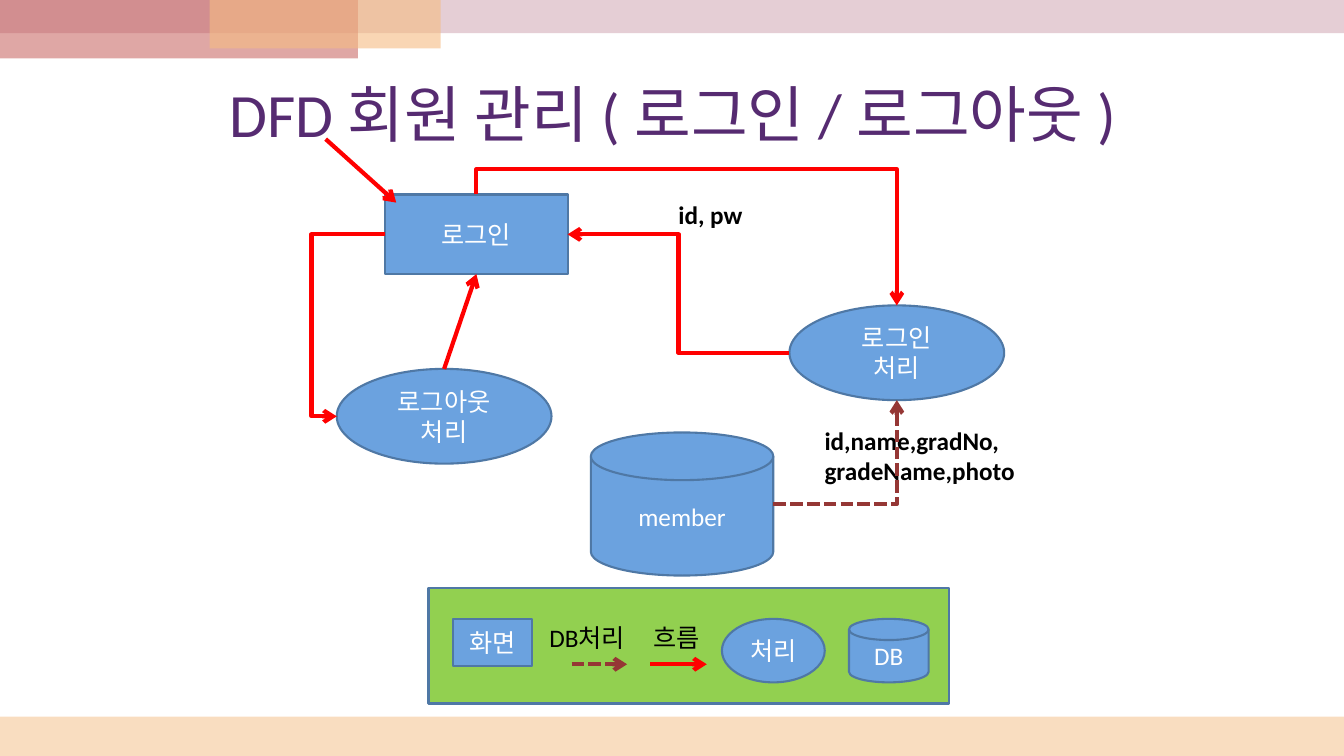
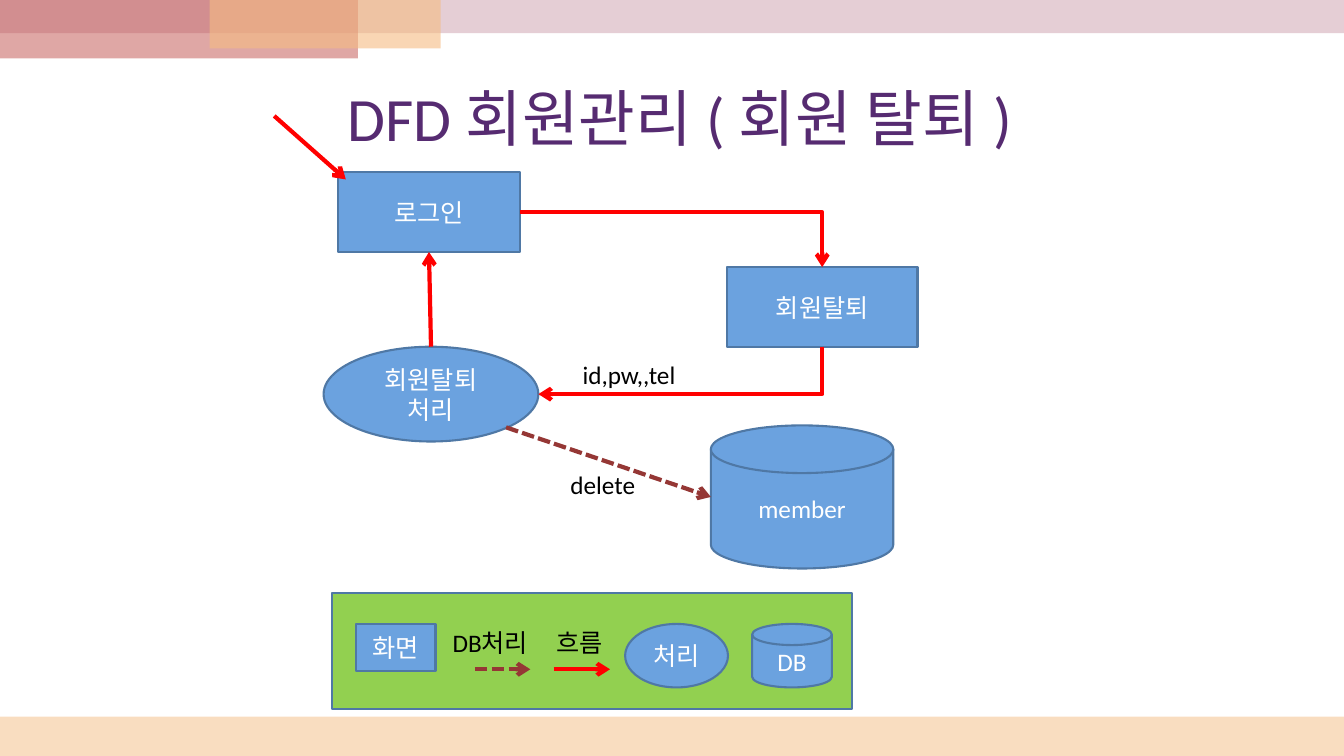
from math import cos, radians, sin

from lxml.etree import SubElement
from pptx import Presentation
from pptx.dml.color import RGBColor
from pptx.enum.dml import MSO_LINE
from pptx.enum.shapes import MSO_CONNECTOR, MSO_SHAPE
from pptx.enum.text import MSO_ANCHOR, MSO_AUTO_SIZE, PP_ALIGN
from pptx.oxml.ns import qn
from pptx.util import Inches, Pt

WHITE = RGBColor(0xFF, 0xFF, 0xFF)
BLACK = RGBColor(0, 0, 0)
BLUE = RGBColor(0x6B, 0xA2, 0xDF)
EDGE = RGBColor(0x4F, 0x78, 0xA5)
GREEN = RGBColor(0x92, 0xD0, 0x50)
RED = RGBColor(0xFF, 0, 0)
BROWN = RGBColor(0x95, 0x37, 0x35)
PLUM = RGBColor(0x56, 0x2B, 0x71)
PEACH = RGBColor(0xF5, 0xBC, 0x83)
MAUVE = RGBColor(0xCC, 0x9E, 0xAC)
BRICK = RGBColor(0xC0, 0x50, 0x4D)

RECT = MSO_SHAPE.RECTANGLE
OVAL = MSO_SHAPE.OVAL
DISK = MSO_SHAPE.FLOWCHART_MAGNETIC_DISK

BODY = {"name": "Calibri", "size": Pt(18), "bold": False}
STRONG = {**BODY, "bold": True}
HEAD = {**BODY, "size": Pt(44)}
FLOW = {"width": Pt(3)}
DATA = {**FLOW, "dash_style": MSO_LINE.SQUARE_DOT}

SITES = {
    RECT: {"top": 0, "left": 1, "bottom": 2, "right": 3},
    OVAL: {"top": 0, "left": 2, "bottom": 4, "right": 6},
    DISK: {"top": 1, "left": 2, "bottom": 3, "right": 4},
}
TURNS = {"right": 0, "bottom": 90, "left": 180, "top": 270}
SPOTS = {"top": (0.5, 0), "left": (0, 0.5), "bottom": (0.5, 1), "right": (1, 0.5)}

SCREEN = (1.81, 0.79)
STEP = (2.13, 0.94)
STORE = (1.81, 1.42)


def assign(target, values):
    for key, value in values.items():
        setattr(target, key, value)


def style(frame, text, color, look, align):
    frame.text = text
    for para in frame.paragraphs:
        para.alignment = align
        assign(para.font, look)
        para.font.color.rgb = color


def point(shape, side):
    across, down = SPOTS[side]
    return shape.left + across * shape.width, shape.top + down * shape.height


class Pane:
    def __init__(self, slide, left, top):
        self.shapes = slide.shapes
        self.left, self.top = left, top

    def spot(self, x, y):
        return Inches(self.left + x), Inches(self.top + y)

    def node(self, kind, x, y, size, text="", fill=BLUE):
        shape = self.shapes.add_shape(kind, *self.spot(x, y), *map(Inches, size))
        shape.shadow.inherit = False
        shape.fill.solid()
        shape.fill.fore_color.rgb = fill
        shape.line.color.rgb = EDGE
        shape.line.width = Pt(1.5)
        if text:
            shape.text_frame.vertical_anchor = MSO_ANCHOR.MIDDLE
            style(shape.text_frame, text, WHITE, BODY, PP_ALIGN.CENTER)
        return shape

    def note(self, x, y, size, text, look=BODY):
        label = self.shapes.add_textbox(*self.spot(x, y), *map(Inches, size))
        label.text_frame.word_wrap = True
        style(label.text_frame, text, BLACK, look, PP_ALIGN.LEFT)

    def draw(self, kind, start, end, color, look):
        line = self.shapes.add_connector(kind, *(round(n) for n in (*start, *end)))
        line.line.color.rgb = color
        assign(line.line, look)
        SubElement(line.get_or_add_ln(), qn("a:tailEnd"), type="arrow")
        SubElement(line.element.spPr, qn("a:effectLst"))
        return line

    def arrow(self, start, end, color=RED, look=FLOW):
        return self.draw(MSO_CONNECTOR.STRAIGHT, start, end, color, look)

    def rise(self, low, high):
        line = self.arrow(point(low, "top"), point(high, "bottom"))
        line.begin_connect(low, 0)
        line.end_connect(high, 2)

    def elbow(self, first, leave, last, enter, run=None, color=RED, look=FLOW):
        x1, y1 = point(first, leave)
        x2, y2 = point(last, enter)
        turn = TURNS[leave]
        angle = radians(turn)
        dx, dy = x2 - x1, y2 - y1
        wide = dx * cos(angle) + dy * sin(angle)
        high = dy * cos(angle) - dx * sin(angle)
        mx, my = (x1 + x2) / 2, (y1 + y2) / 2
        start = mx - wide / 2, my - high / 2
        end = mx + wide / 2, my + high / 2
        line = self.draw(MSO_CONNECTOR.ELBOW, start, end, color, look)
        line.rotation = turn
        form = line.element.spPr.find(qn("a:prstGeom"))
        if run is None:
            form.set("prst", "bentConnector2")
        else:
            bend = round(100000 * Inches(run) / wide)
            SubElement(form.find(qn("a:avLst")), qn("a:gd"),
                       name="adj1", fmla=f"val {bend}")
        joint = line.element.find(".//" + qn("p:cNvCxnSpPr"))
        for tag, shape, side in (("a:stCxn", first, leave), ("a:endCxn", last, enter)):
            site = SITES[shape.auto_shape_type][side]
            SubElement(joint, qn(tag), id=str(shape.shape_id), idx=str(site))


def bands(layout, slide):
    tree = layout.shapes.element
    rows = (
        (0, 7.11, 13.33, 0.39, PEACH, 50),
        (0, 0, 13.33, 0.33, MAUVE, 50),
        (0, 0, 3.55, 0.58, BRICK, 50),
        (2.08, 0, 2.29, 0.48, PEACH, 60),
    )
    for place, (*box, color, alpha) in enumerate(rows, 2):
        band = slide.shapes.add_shape(RECT, *map(Inches, box))
        band.shadow.inherit = False
        band.fill.solid()
        band.fill.fore_color.rgb = color
        band.line.fill.background()
        tint = band.element.spPr.find(".//" + qn("a:srgbClr"))
        SubElement(tint, qn("a:alpha"), val=str(alpha * 1000))
        tree.insert(place, band.element)


def title(slide, text, width, height):
    head = slide.shapes.title
    box = dict(zip(("left", "top", "width", "height"),
                   map(Inches, (0.67, 0.59, width, height))))
    assign(head, box)
    frame = head.text_frame
    assign(frame, {"vertical_anchor": MSO_ANCHOR.MIDDLE, "word_wrap": True,
                   "auto_size": MSO_AUTO_SIZE.NONE})
    style(frame, text, PLUM, HEAD, PP_ALIGN.CENTER)


def legend(slide, left, top):
    pane = Pane(slide, left, top)
    pane.node(RECT, 0, 0, (5.16, 1.15), fill=GREEN)
    pane.node(RECT, 0.24, 0.31, (0.79, 0.47), "화면")
    pane.node(DISK, 4.17, 0.31, (0.79, 0.63), "DB")
    pane.node(OVAL, 2.91, 0.31, (1.02, 0.63), "처리")
    pane.note(2.13, 0.29, (0.75, 0.4), "흐름")
    pane.arrow(pane.spot(2.2, 0.76), pane.spot(2.76, 0.76))
    pane.arrow(pane.spot(1.42, 0.76), pane.spot(1.97, 0.76), BROWN, DATA)
    pane.note(1.1, 0.29, (1.1, 0.4), "DB처리")


def login(slide, left, top):
    pane = Pane(slide, left, top)
    pane.note(5.08, 3.17, (2.73, 0.7), "id,name,gradNo,\ngradeName,photo", STRONG)
    enter = pane.node(RECT, 0.82, 0.93, SCREEN, "로그인")
    member = pane.node(DISK, 2.86, 3.29, STORE, "member")
    check = pane.node(OVAL, 4.83, 2.03, STEP, "로그인\n처리")
    logout = pane.node(OVAL, 0.34, 2.66, STEP, "로그아웃\n처리")
    pane.elbow(enter, "top", check, "top", 0.25)
    pane.elbow(check, "left", enter, "right", 1.1)
    pane.note(3.63, 0.93, (1.1, 0.4), "id, pw", STRONG)
    pane.elbow(member, "right", check, "bottom", color=BROWN, look=DATA)
    pane.elbow(enter, "left", logout, "left", 0.73)
    pane.rise(logout, enter)
    pane.arrow(pane.spot(0.23, 0.38), pane.spot(0.93, 1.01))


def resign(slide, left, top):
    pane = Pane(slide, left, top)
    enter = pane.node(RECT, 0.85, 0.71, SCREEN, "로그인")
    pane.arrow(pane.spot(0.22, 0.15), pane.spot(0.93, 0.78))
    member = pane.node(DISK, 4.55, 3.22, STORE, "member")
    drop = pane.node(OVAL, 0.71, 2.44, STEP, "회원탈퇴\n처리")
    form = pane.node(RECT, 4.71, 1.65, (1.89, 0.79), "회원탈퇴")
    pane.elbow(enter, "right", form, "top")
    pane.rise(drop, enter)
    pane.arrow(pane.spot(2.52, 3.24), point(member, "left"), BROWN, DATA)
    pane.note(3.06, 3.61, (1.1, 0.4), "delete")
    pane.elbow(form, "bottom", drop, "right")
    pane.note(3.18, 2.52, (1.3, 0.4), "id,pw,,tel")


def main():
    deck = Presentation()
    deck.slide_width, deck.slide_height = Inches(13.33), Inches(7.5)
    layout = deck.slide_layouts[5]

    first = deck.slides.add_slide(layout)
    bands(layout, first)
    title(first, "DFD 회원 관리 ( 로그인 / 로그아웃 )", 12, 1.05)
    login(first, 3, 1)
    legend(first, 4.25, 5.83)

    second = deck.slides.add_slide(layout)
    title(second, "DFD 회원관리 ( 회원 탈퇴 )", 12.14, 1.14)
    resign(second, 2.5, 1)
    legend(second, 3.29, 5.88)

    deck.save("out.pptx")


if __name__ == "__main__":
    main()
